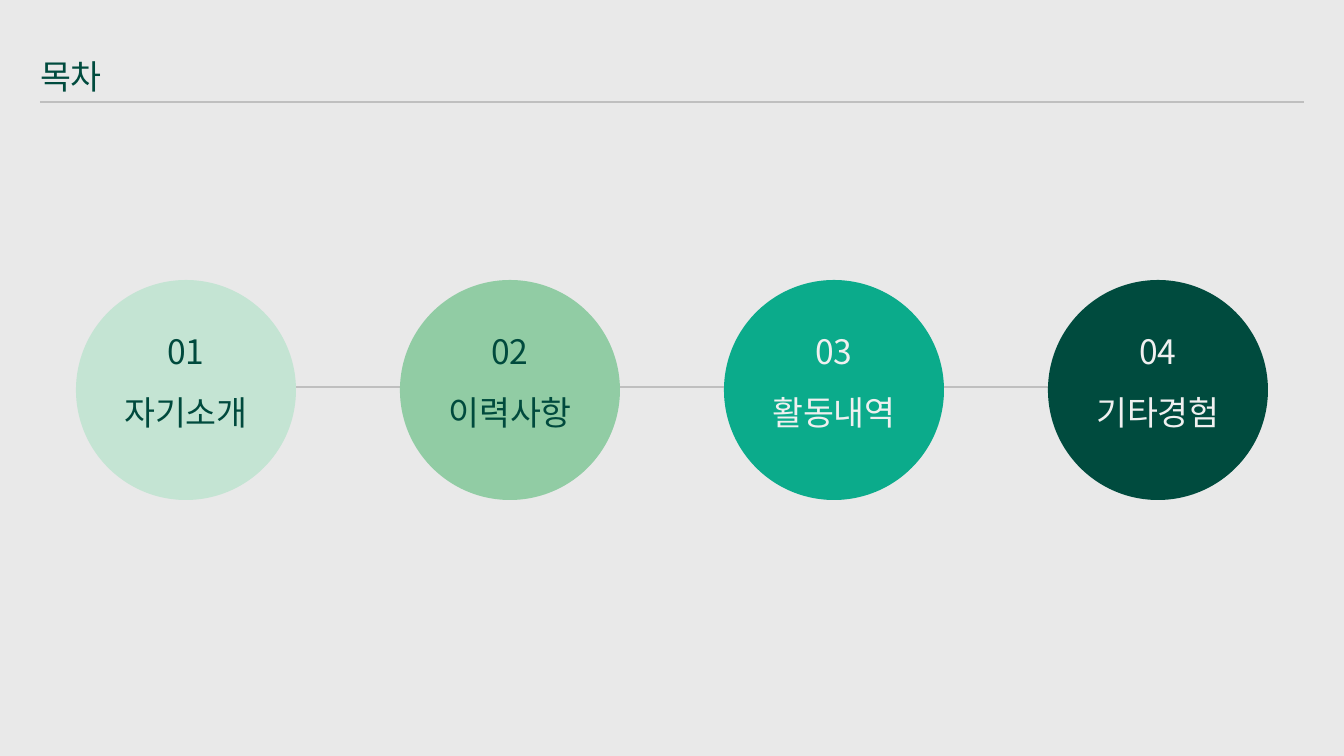
from lxml.etree import SubElement
from pptx import Presentation
from pptx.dml.color import RGBColor as Rgb
from pptx.enum.shapes import MSO_CONNECTOR as Link, MSO_SHAPE as Shape
from pptx.enum.text import MSO_ANCHOR as Anchor, MSO_AUTO_SIZE as Auto, PP_ALIGN as Align
from pptx.oxml.ns import qn
from pptx.util import Pt

PX = 914400 / 100.8
FONT = "Noto Sans CJK KR"
HUES = {
    "paper": "E9E9E9", "rule": "BFBFBF", "title": "004B3E",
    "dark": "004A3D", "light": "F0F0F0",
    "mint": "C4E4D3", "leaf": "91CCA4", "teal": "0BAB8B", "pine": "004B3E",
}
ITEMS = [
    ("자기소개", "mint", "dark"),
    ("이력사항", "leaf", "dark"),
    ("활동내역", "teal", "light"),
    ("기타경험", "pine", "light"),
]
DISC, STEP, LEFT, TOP = 220, 324, 76, 280


def write(box, text, hue, align, anchor):
    frame = box.text_frame
    frame.text = text
    frame.word_wrap = False
    frame.auto_size = Auto.SHAPE_TO_FIT_TEXT
    frame.vertical_anchor = anchor
    line = frame.paragraphs[0]
    line.alignment = align
    font = line.runs[0].font
    font.size = Pt(24)
    font.name = FONT
    font.color.rgb = Rgb.from_string(HUES[hue])
    # Hangul takes its font from the East Asian slot
    SubElement(line.runs[0]._r.get_or_add_rPr(), qn("a:ea")).set("typeface", FONT)


def rule(slide, x1, x2, y):
    line = slide.shapes.add_connector(
        Link.STRAIGHT, *[round(n * PX) for n in (x1, y, x2, y)])
    line.line.color.rgb = Rgb.from_string(HUES["rule"])
    line.line.width = Pt(1.5)
    SubElement(line._element.spPr, qn("a:effectLst"))


deck = Presentation()
deck.slide_width, deck.slide_height = round(1344 * PX), round(756 * PX)
slide = deck.slides.add_slide(deck.slide_layouts[5])
paper = slide.background.fill
paper.solid()
paper.fore_color.rgb = Rgb.from_string(HUES["paper"])

title = slide.shapes.title
title.left, title.top, title.width, title.height = [
    round(n * PX) for n in (30, 51, 82, 50)]
write(title, "목차", "title", Align.LEFT, Anchor.TOP)
rule(slide, 40, 1304, 102)

# The chain runs behind the discs, inside the first and the last
rule(slide, LEFT + 65, LEFT + 3 * STEP + 155, 387)

for i, (name, fill, ink) in enumerate(ITEMS):
    x = LEFT + i * STEP
    disc = slide.shapes.add_shape(
        Shape.OVAL, *[round(n * PX) for n in (x, TOP, DISC, DISC)])
    disc.shadow.inherit = False
    disc.fill.solid()
    disc.fill.fore_color.rgb = Rgb.from_string(HUES[fill])
    disc.line.fill.background()
    for text, top, wide in ((f"{i + 1:02}", 326, 60), (name, 387, 146)):
        box = slide.shapes.add_textbox(
            *[round(n * PX) for n in (x + (DISC - wide) / 2, top, wide, 50)])
        write(box, text, ink, Align.CENTER, Anchor.MIDDLE)

deck.save("out.pptx")
